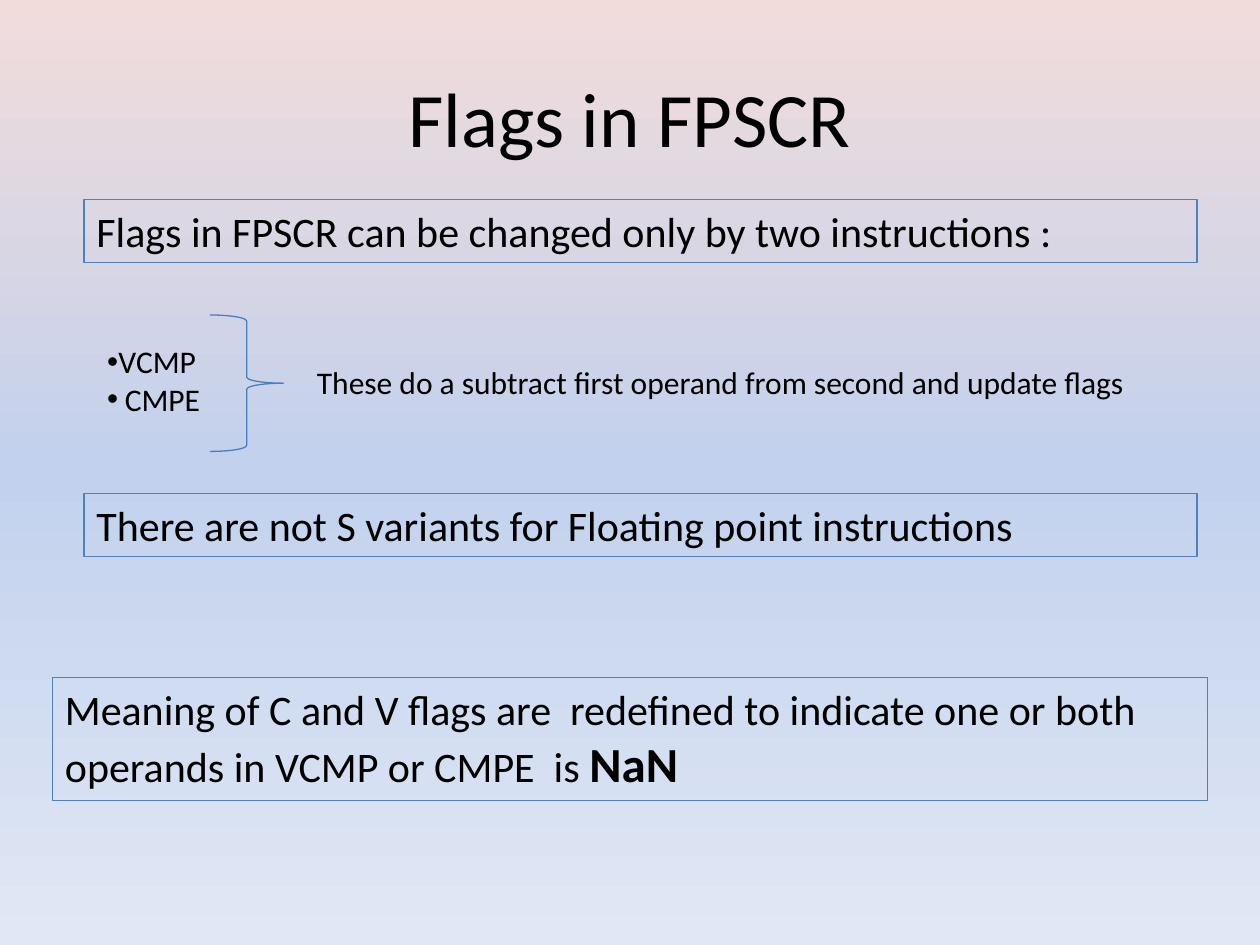
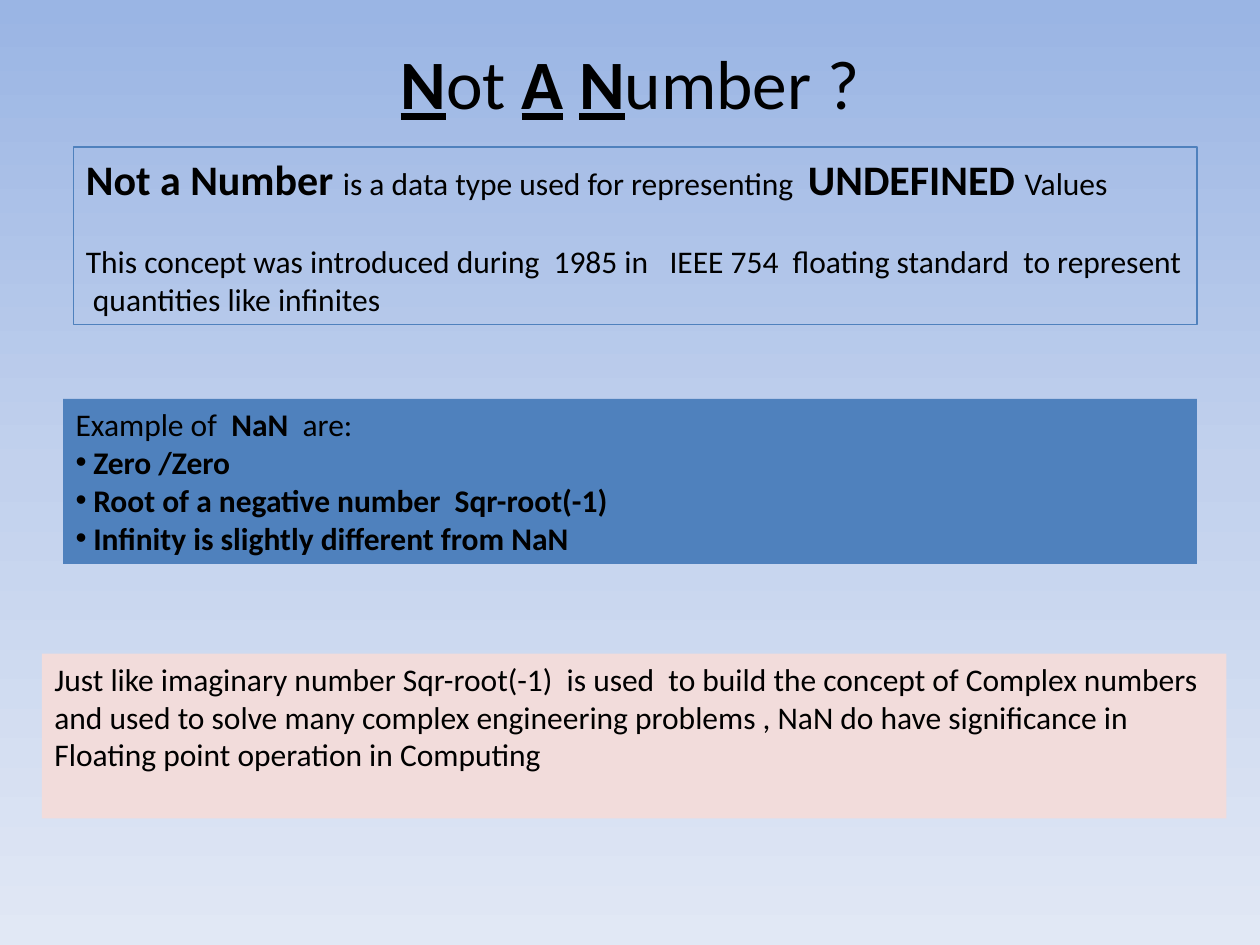
from copy import deepcopy
from dataclasses import dataclass
from typing import Optional

from lxml import etree
from pptx import Presentation
from pptx.dml.color import RGBColor
from pptx.enum.shapes import MSO_SHAPE
from pptx.enum.text import MSO_ANCHOR, MSO_AUTO_SIZE, PP_ALIGN
from pptx.oxml.ns import qn
from pptx.util import Inches, Pt

RIGHT_BRACE = MSO_SHAPE.RIGHT_BRACE
TOP, MIDDLE = MSO_ANCHOR.TOP, MSO_ANCHOR.MIDDLE
LEFT, CENTER = PP_ALIGN.LEFT, PP_ALIGN.CENTER
NO_AUTOFIT = MSO_AUTO_SIZE.NONE

BLACK = RGBColor(0x00, 0x00, 0x00)
BLUE = RGBColor(0x4F, 0x81, 0xBD)
BRACE_BLUE = RGBColor(0x4B, 0x7E, 0xBC)
ROSE = RGBColor(0xF2, 0xDC, 0xDB)
SKY = RGBColor(0x9A, 0xB5, 0xE4)
MID_BLUE = RGBColor(0xC2, 0xD1, 0xED)
PALE_BLUE = RGBColor(0xE1, 0xE8, 0xF5)

SLIDE_WIDTH, SLIDE_HEIGHT = Inches(10), Inches(7.5)
COLUMN, ROW = SLIDE_WIDTH / 120, SLIDE_HEIGHT / 90
TITLE_AND_CONTENT = 1
FONT = "Calibri"
THIN = Pt(0.75)
EMPHASIS = {"bold": True}
INITIAL = {"bold": True, "underline": True}


@dataclass(frozen=True)
class Cell:
    column: float
    row: float
    columns: float
    rows: float

    def lengths(self) -> tuple:
        return (round(self.column * COLUMN), round(self.row * ROW),
                round(self.columns * COLUMN), round(self.rows * ROW))


@dataclass(frozen=True)
class Run:
    text: str
    font: Optional[dict] = None


@dataclass(frozen=True)
class Line:
    runs: tuple
    bullet_gap: float = 0
    space_before: float = 0


@dataclass(frozen=True)
class Panel:
    cell: Cell
    lines: tuple
    size: float = 18
    fill: Optional[RGBColor] = None
    outline: Optional[RGBColor] = None


def line(text: str, bullet_gap: float = 0, font: Optional[dict] = None) -> Line:
    return Line((Run(text, font),), bullet_gap)


def set_attributes(target, values: dict) -> None:
    for name, value in values.items():
        setattr(target, name, value)


def place(shape, cell: Cell) -> None:
    set_attributes(shape, dict(zip(("left", "top", "width", "height"), cell.lengths())))


def set_bullet(paragraph, gap: float) -> None:
    properties = paragraph._p.get_or_add_pPr()
    indent = Inches(gap)
    properties.set("marL", str(indent))
    properties.set("indent", str(-indent))
    if gap:
        etree.SubElement(properties, qn("a:buFont")).set("typeface", "Arial")
        etree.SubElement(properties, qn("a:buChar")).set("char", "•")
    else:
        etree.SubElement(properties, qn("a:buNone"))


def write_lines(shape, lines: tuple, size: float, anchor=TOP, alignment=LEFT) -> None:
    frame = shape.text_frame
    set_attributes(frame, {"word_wrap": True, "auto_size": NO_AUTOFIT,
                           "vertical_anchor": anchor})
    for index, content in enumerate(lines):
        paragraph = frame.add_paragraph() if index else frame.paragraphs[0]
        set_attributes(paragraph, {"alignment": alignment, "space_after": Pt(0),
                                   "space_before": Pt(content.space_before)})
        set_bullet(paragraph, content.bullet_gap)
        for part in content.runs:
            run = paragraph.add_run()
            run.text = part.text
            run.font.color.rgb = BLACK
            set_attributes(run.font, {"name": FONT, "size": Pt(size), **(part.font or {})})


def format_panel(shape, panel: Panel) -> None:
    place(shape, panel.cell)
    if panel.fill is not None:
        shape.fill.solid()
        shape.fill.fore_color.rgb = panel.fill
    if panel.outline is not None:
        shape.line.color.rgb = panel.outline
        shape.line.width = THIN
    write_lines(shape, panel.lines, panel.size)


def add_panel(slide, panel: Panel) -> None:
    format_panel(slide.shapes.add_textbox(*panel.cell.lengths()), panel)


def paint_background(slide, top_color: RGBColor) -> None:
    fill = slide.background.fill
    fill.gradient()
    fill.gradient_angle = 270
    stop_list = slide.element.find(".//" + qn("a:gsLst"))
    stop_list.append(deepcopy(stop_list[0]))
    colors = (top_color, MID_BLUE, PALE_BLUE)
    for index, (stop, color) in enumerate(zip(fill.gradient_stops, colors)):
        stop.position = index / 2
        stop.color.rgb = color


def add_slide(presentation, top_color: RGBColor, title: Line, title_cell: Cell,
              title_size: float, bullets: Panel, panels: tuple):
    slide = presentation.slides.add_slide(presentation.slide_layouts[TITLE_AND_CONTENT])
    paint_background(slide, top_color)
    place(slide.shapes.title, title_cell)
    write_lines(slide.shapes.title, (title,), title_size, MIDDLE, CENTER)
    format_panel(slide.placeholders[1], bullets)
    for panel in panels:
        add_panel(slide, panel)
    return slide


def add_brace(slide, cell: Cell) -> None:
    brace = slide.shapes.add_shape(RIGHT_BRACE, *cell.lengths())
    brace.shadow.inherit = False
    brace.fill.background()
    brace.line.color.rgb = BRACE_BLUE
    brace.line.width = THIN


def build_flags_slide(presentation) -> None:
    instructions = Panel(Cell(9, 32, 14, 8.5), (line("VCMP", 0.09), line("CMPE", 0.14)))
    meaning = Line((
        Run("Meaning of C and V flags are  redefined to indicate one or both "
            "operands in VCMP or CMPE  is "),
        Run("NaN", {"bold": True, "size": Pt(28)}),
    ))
    panels = (
        Panel(Cell(8, 19, 106, 6),
              (line("Flags in FPSCR can be changed only by two instructions :"),),
              24, outline=BLUE),
        Panel(Cell(29, 34, 80.3, 4.8),
              (line("These do a subtract first operand from second and update flags"),)),
        Panel(Cell(8, 47, 106, 6),
              (line("There are not S variants for Floating point instructions"),),
              24, outline=BLUE),
        Panel(Cell(5, 64.5, 110, 11.75), (meaning,), 24, outline=BLUE),
    )
    slide = add_slide(presentation, ROSE, line("Flags in FPSCR"),
                      Cell(6, 3.6, 108, 15), 44, instructions, panels)
    add_brace(slide, Cell(20, 30, 7, 13))


def build_nan_slide(presentation) -> None:
    title = Line((
        Run("N", INITIAL), Run("ot "), Run("A", INITIAL), Run(" "),
        Run("N", INITIAL), Run("umber ?"),
    ))
    keyword = {"bold": True, "size": Pt(24)}
    definition = Line((
        Run("Not a Number ", keyword),
        Run("is a data type used for representing  "),
        Run("UNDEFINED ", keyword),
        Run("Values"),
    ))
    history = Line((Run("This concept was introduced during  1985 in   IEEE 754  floating "
                        "standard  to represent  quantities like infinites"),),
                   space_before=22)
    heading = Line((Run("Example of  "), Run("NaN ", EMPHASIS), Run(" are:")))
    examples = ("Zero /Zero", "Root of a negative number  Sqr-root(-1)",
                "Infinity is slightly different from NaN")
    bullets = Panel(Cell(6, 38, 108, 15.7),
                    (heading, *(line(text, 0.14, EMPHASIS) for text in examples)),
                    fill=BLUE)
    significance = (
        "Just like imaginary number Sqr-root(-1)  is used  to build the concept of "
        "Complex numbers",
        "and used to solve many complex engineering problems , NaN do have significance in",
        "Floating point operation in Computing",
    )
    panels = (
        Panel(Cell(7, 14, 107, 16.9), (definition, history), outline=BLUE),
        Panel(Cell(4, 62.25, 112.8, 15.7), tuple(map(line, significance)), fill=ROSE),
    )
    add_slide(presentation, SKY, title, Cell(6, 3.6, 108, 8.4), 39.6, bullets, panels)


def main() -> None:
    presentation = Presentation()
    set_attributes(presentation, {"slide_width": SLIDE_WIDTH, "slide_height": SLIDE_HEIGHT})
    build_flags_slide(presentation)
    build_nan_slide(presentation)
    presentation.save("out.pptx")


if __name__ == "__main__":
    main()
